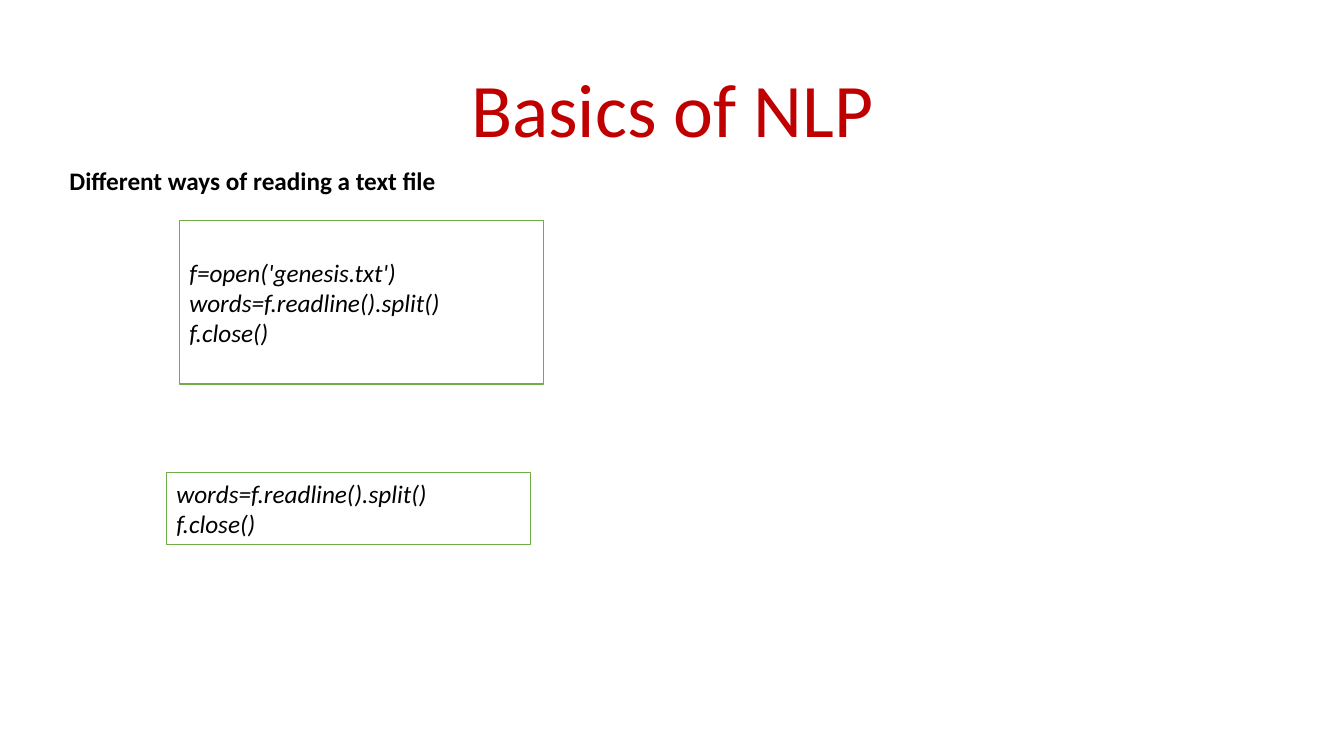
from dataclasses import dataclass

from pptx import Presentation
from pptx.dml.color import RGBColor
from pptx.enum.shapes import MSO_SHAPE
from pptx.enum.text import MSO_ANCHOR, MSO_AUTO_SIZE, PP_ALIGN
from pptx.util import Inches, Pt

RECTANGLE = MSO_SHAPE.RECTANGLE
MIDDLE = MSO_ANCHOR.MIDDLE
NO_RESIZE = MSO_AUTO_SIZE.NONE
LEFT, CENTER = PP_ALIGN.LEFT, PP_ALIGN.CENTER

SLIDE_WIDTH = Inches(13.33)
SLIDE_HEIGHT = Inches(7.5)
TITLE_ONLY_LAYOUT = 5

BLACK, WHITE, RED, GREEN = "000000", "FFFFFF", "C00000", "70AD47"
TITLE_FORMAT = {"name": "Calibri", "size": Pt(54), "bold": False}
HEADING_FORMAT = {"name": "Calibri", "size": Pt(18), "bold": True}
CODE_FORMAT = {"name": "Calibri", "size": Pt(18), "italic": True}


@dataclass(frozen=True)
class Area:
    left: float
    top: float
    width: float
    height: float

    def lengths(self) -> tuple[int, int, int, int]:
        return (
            int(SLIDE_WIDTH * self.left / 100),
            int(SLIDE_HEIGHT * self.top / 100),
            int(SLIDE_WIDTH * self.width / 100),
            int(SLIDE_HEIGHT * self.height / 100),
        )


@dataclass(frozen=True)
class CodeBox:
    area: Area
    lines: tuple[str, ...]


TITLE_AREA = Area(6.9, 5.33, 86.27, 19.33)
HEADING_AREA = Area(4.43, 21.2, 31.66, 5.33)
READ_AND_CLOSE = ("words=f.readline().split()", "f.close()")
CODE_BOXES = (
    CodeBox(Area(13.35, 29.2, 27.08, 21.6), ("f=open('genesis.txt')", *READ_AND_CLOSE)),
    CodeBox(Area(12.38, 62.53, 27.08, 9.47), READ_AND_CLOSE),
)


def color(value: str) -> RGBColor:
    return RGBColor.from_string(value)


def write(shape, lines, text_format: dict, text_color: str, alignment=LEFT) -> None:
    frame = shape.text_frame
    frame.word_wrap = True
    frame.auto_size = NO_RESIZE
    frame.vertical_anchor = MIDDLE
    frame.text = "\n".join(lines)
    for paragraph in frame.paragraphs:
        paragraph.alignment = alignment
        for run in paragraph.runs:
            for attribute, value in text_format.items():
                setattr(run.font, attribute, value)
            run.font.color.rgb = color(text_color)


def add_title(slide) -> None:
    title = slide.shapes.title
    title.left, title.top, title.width, title.height = TITLE_AREA.lengths()
    write(title, ["Basics of NLP"], TITLE_FORMAT, RED, CENTER)
    title.text_frame.paragraphs[0].line_spacing = 0.9


def add_heading(slide) -> None:
    heading = slide.shapes.add_textbox(*HEADING_AREA.lengths())
    write(heading, ["Different ways of reading a text file"], HEADING_FORMAT, BLACK)


def add_code_box(slide, code_box: CodeBox) -> None:
    shape = slide.shapes.add_shape(RECTANGLE, *code_box.area.lengths())
    shape.shadow.inherit = False
    shape.fill.solid()
    shape.fill.fore_color.rgb = color(WHITE)
    shape.line.color.rgb = color(GREEN)
    shape.line.width = Pt(1)
    write(shape, code_box.lines, CODE_FORMAT, BLACK)


def main() -> None:
    presentation = Presentation()
    presentation.slide_width = SLIDE_WIDTH
    presentation.slide_height = SLIDE_HEIGHT
    slide = presentation.slides.add_slide(presentation.slide_layouts[TITLE_ONLY_LAYOUT])
    add_title(slide)
    add_heading(slide)
    for code_box in CODE_BOXES:
        add_code_box(slide, code_box)
    presentation.save("out.pptx")


if __name__ == "__main__":
    main()
